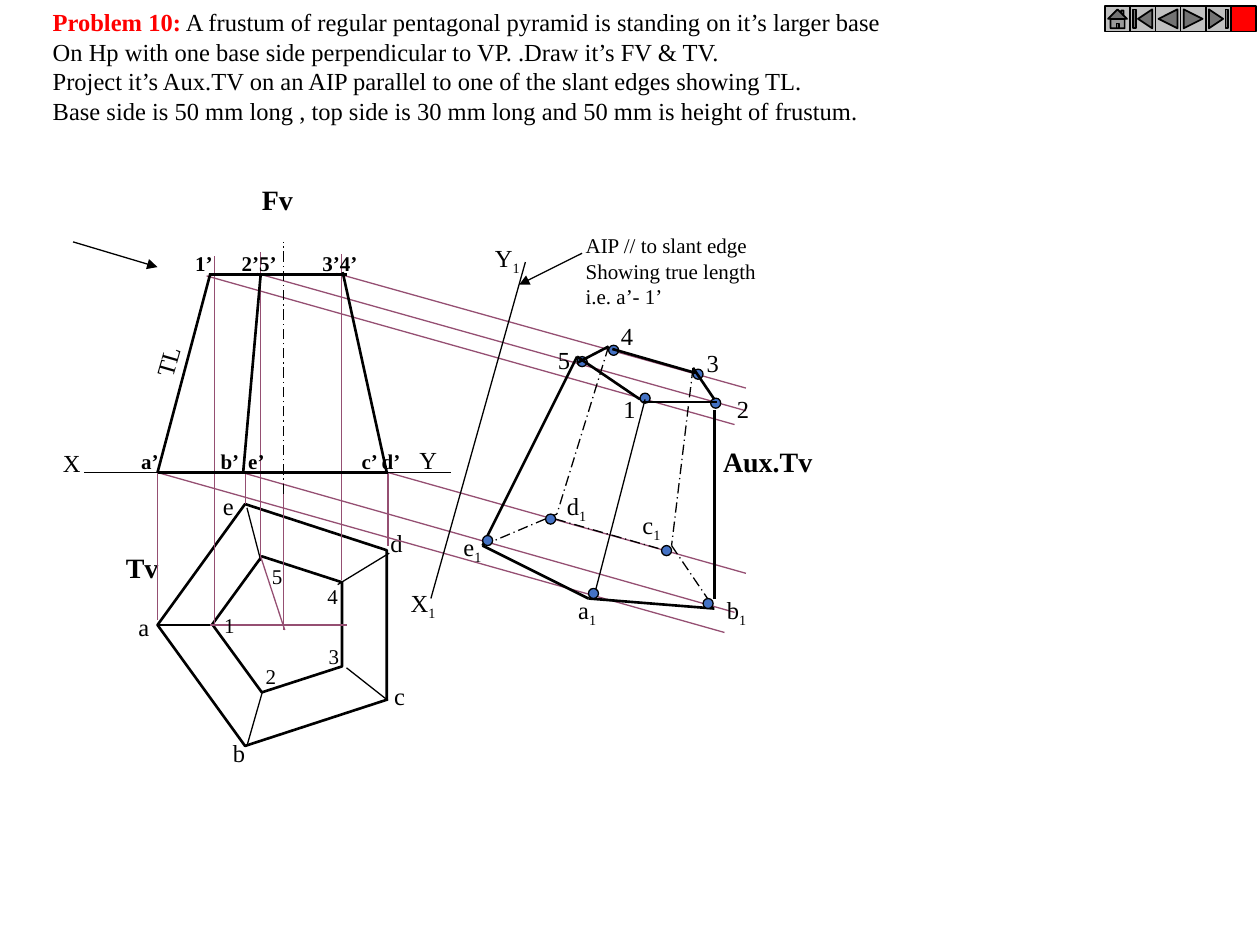
from lxml import etree
from pptx import Presentation
from pptx import util as u
from pptx.dml import color as dc
from pptx.enum import dml, shapes, text
from pptx.oxml import ns

BLACK, PLUM, WHITE, RED = "000000", "954F72", "FFFFFF", "FF0000"
THIN, THICK = 0.75, 1.5
SHAPE = shapes.MSO_SHAPE


def rgb(value):
    return dc.RGBColor.from_string(value)


def place(box, x, y):
    return u.Inches(box[0] + x), u.Inches(box[1] + y)


def add_line(s, box, ends, color=BLACK, width=THIN, dash=False, arrow=False):
    x1, y1, x2, y2 = ends
    cn = s.shapes.add_connector(shapes.MSO_CONNECTOR.STRAIGHT,
                                *place(box, x1, y1), *place(box, x2, y2))
    cn.line.color.rgb = rgb(color)
    cn.line.width = u.Pt(width)
    if dash:
        cn.line.dash_style = dml.MSO_LINE.LONG_DASH_DOT
    if arrow:
        etree.SubElement(cn.line._get_or_add_ln(), ns.qn("a:tailEnd"), type="triangle")
    etree.SubElement(cn._element.spPr, ns.qn("a:effectLst"))


def add_lines(s, box, lines, **style):
    for ends in lines:
        add_line(s, box, ends, **style)


def add_shape(s, box, kind, at, fill, width, rotation=0):
    x, y, w, h = at
    sp = s.shapes.add_shape(kind, *place(box, x, y), u.Inches(w), u.Inches(h))
    sp.rotation = rotation
    sp.shadow.inherit = False
    sp.fill.solid()
    sp.fill.fore_color.rgb = rgb(fill)
    sp.line.color.rgb = rgb(BLACK)
    sp.line.width = u.Pt(width)


def add_dots(s, box, points):
    for x, y in points:
        add_shape(s, box, SHAPE.OVAL, (x, y, 0.08, 0.08), "4472C4", THIN)


def add_run(p, content, size, color=BLACK, bold=False, sub=False):
    r = p.add_run()
    r.text = content
    fmt = {"name": "Times New Roman", "size": u.Pt(size), "bold": bold}
    for key, value in fmt.items():
        setattr(r.font, key, value)
    r.font.color.rgb = rgb(color)
    if sub:
        r._r.get_or_add_rPr().set("baseline", "-25000")


def add_text(s, box, at, lines, size=14, bold=False, wrap=False):
    x, y, w, h = at
    sp = s.shapes.add_textbox(*place(box, x, y), u.Inches(w), u.Inches(h))
    tf = sp.text_frame
    fmt = {"word_wrap": wrap, "auto_size": text.MSO_AUTO_SIZE.SHAPE_TO_FIT_TEXT}
    for key, value in fmt.items():
        setattr(tf, key, value)
    for i, content in enumerate(lines):
        p = tf.add_paragraph() if i else tf.paragraphs[0]
        if content:
            add_run(p, content, size, bold=bold)
    return sp


def add_tabbed(s, box, at, labels, stops):
    sp = add_text(s, box, at, ["\t".join(labels)], 12, True, wrap=True)
    pPr = sp.text_frame.paragraphs[0]._p.get_or_add_pPr()
    tabs = etree.SubElement(pPr, ns.qn("a:tabLst"))
    for stop in stops:
        etree.SubElement(tabs, ns.qn("a:tab"), pos=str(u.Inches(stop)), algn="l")
    return sp


def add_labels(s, box, labels, size=14, w=0.3):
    for content, x, y in labels:
        add_text(s, box, (x, y, w, 0.33 if size == 14 else 0.3), [content], size)


def add_sub_labels(s, box, labels, w=0.36):
    for content, x, y in labels:
        sp = add_text(s, box, (x, y, w, 0.33), [content])
        add_run(sp.text_frame.paragraphs[0], "1", 14, sub=True)


def top_view(s, box):
    for at in [(1.2, 1.05, 1.92, 1.82), (1.66, 1.44, 1.08, 1.03)]:
        add_shape(s, box, SHAPE.REGULAR_PENTAGON, at, WHITE, THICK, 270)
    add_lines(s, box, [(1.26, 1.96, 1.67, 1.96), (2.75, 2.3, 3.08, 2.56),
                       (2.68, 1.64, 3.09, 1.39), (2.08, 2.5, 1.96, 2.92),
                       (1.96, 1.03, 2.07, 1.45)])
    add_lines(s, box, [(1.67, 1.96, 2.75, 1.96), (2.07, 1.42, 2.26, 2),
                       (2.25, 0.83, 2.25, 2)], color=PLUM)
    add_labels(s, box, [("1", 1.68, 1.81), ("2", 2.01, 2.22), ("3", 2.51, 2.06),
                        ("4", 2.5, 1.58), ("5", 2.06, 1.42)], 12, 0.28)
    add_labels(s, box, [("a", 1, 1.81), ("b", 1.75, 2.81), ("c", 3.03, 2.36),
                        ("d", 3, 1.14), ("e", 1.67, 0.85)])
    add_text(s, box, (0.9, 1.32, 0.46, 0.37), ["Tv"], 16, True)


def projectors(s, box):
    base = 1.75
    for x, start, end in [(0.25, 2.92, base), (0.95, 2, base), (2.08, 2.33, base),
                          (0.7, 2.95, 0.03), (1.07, 2.42, 0), (1.71, 2.6, 0.02)]:
        add_line(s, box, (x, start, x, end), PLUM)
    add_lines(s, box, [(1.67, 0.17, 4.92, 1.08), (1.04, 0.17, 4.92, 1.26),
                       (0.64, 0.19, 4.83, 1.37), (2.08, base, 4.92, 2.55),
                       (0.92, base, 4.83, 2.86), (0.25, base, 4.75, 3.02)], color=PLUM)


def front_view(s, box):
    base = 2.75
    add_lines(s, box, [(1.67, 1.18, 2.75, 1.18), (1.67, 1.17, 1.25, base),
                       (2.07, 1.17, 1.93, base), (2.72, 1.16, 3.07, base),
                       (1.25, base, 3.08, base)], width=THICK)
    add_line(s, box, (0.67, base, 3.58, base))
    add_line(s, box, (0.58, 0.92, 1.25, 1.12), arrow=True)
    add_line(s, box, (2.25, 2.92, 2.25, 0.92), dash=True)
    add_labels(s, box, [("X", 0.4, 2.51), ("Y", 3.23, 2.48)], w=0.34)
    add_text(s, box, (1.11, 1.7, 0.44, 0.33), ["TL"]).rotation = 286.1
    sp = add_tabbed(s, box, (0.98, 2.51, 2.35, 0.3),
                    ["a’", "b’", "e’", "c’ d’"], [0.63, 0.85, 1.75])
    sp.text_frame.margin_left = u.Inches(0.14)
    add_tabbed(s, box, (1.45, 0.94, 1.52, 0.3), ["1’", "2’5’", "3’4’"], [0.37, 1.01])
    add_text(s, box, (1.98, 0.4, 0.45, 0.37), ["Fv"], 16, True)


def auxiliary_view(s, box):
    add_dots(s, box, [(2.08, 2.12), (1.58, 1.83), (2.64, 2.16), (1.83, 1.74), (2.5, 1.93)])
    add_lines(s, box, [(1.58, 1.83, 0.83, 3.33), (0.83, 3.33, 1.67, 3.75),
                       (1.67, 3.75, 2.67, 3.83), (2.67, 3.75, 2.67, 2.25),
                       (1.58, 1.83, 2.08, 2.17), (2.1, 2.19, 2.69, 2.19),
                       (2.67, 2.17, 2.5, 1.92), (2.52, 1.96, 1.86, 1.77),
                       (1.83, 1.75, 1.58, 1.88)], width=THICK)
    add_lines(s, box, [(2.12, 2.17, 1.71, 3.75), (1.17, 1.08, 0.42, 3.75)])
    add_lines(s, box, [(0.83, 3.33, 1.42, 3.08), (1.41, 3.12, 2.32, 3.38),
                       (2.33, 3.33, 2.67, 3.83), (1.83, 1.75, 1.42, 3.08),
                       (2.5, 1.92, 2.33, 3.33)], dash=True)
    add_dots(s, box, [(0.83, 3.25), (1.67, 3.67), (2.58, 3.75), (1.33, 3.08), (2.25, 3.33)])
    add_labels(s, box, [("1", 1.85, 2.08), ("2", 2.75, 2.08), ("3", 2.51, 1.71),
                        ("4", 1.83, 1.5), ("5", 1.33, 1.69)])
    add_sub_labels(s, box, [("a", 1.49, 3.67), ("b", 2.67, 3.67), ("c", 2, 3),
                            ("d", 1.4, 2.85), ("e", 0.58, 3.17)])
    add_sub_labels(s, box, [("X", 0.16, 3.62), ("Y", 0.83, 0.88)], w=0.41)
    add_text(s, box, (1.55, 0.8, 1.56, 0.7),
             ["AIP // to slant edge", "Showing true length", "i.e. a’- 1’"], 12)
    add_line(s, box, (1.62, 1.01, 1.12, 1.26), arrow=True)
    add_text(s, box, (2.64, 2.48, 0.91, 0.37), ["Aux.Tv"], 16, True)


def problem_statement(s, box):
    sp = add_text(s, box, (0, 0, *box[2:]), [
        "", "On Hp with one base side perpendicular to VP. .Draw it’s FV & TV.",
        "Project it’s Aux.TV on an AIP parallel to one of the slant edges showing TL.",
        "Base side is 50 mm long , top side is 30 mm long and 50 mm is height of frustum."])
    p = sp.text_frame.paragraphs[0]
    add_run(p, "Problem 10:", 14, RED, True)
    add_run(p, " A frustum of regular pentagonal pyramid is standing on it’s larger base", 14)


def navigation(s, box):
    names = ["HOME", "BEGINNING", "BACK_OR_PREVIOUS", "FORWARD_OR_NEXT", "END", "CUSTOM"]
    step = box[2] / len(names)
    for i, name in enumerate(names):
        fill = RED if name == "CUSTOM" else "C0C0C0"
        add_shape(s, box, SHAPE["ACTION_BUTTON_" + name], (i * step, 0, step, box[3]), fill, 1)


def main():
    prs = Presentation()
    prs.slide_width, prs.slide_height = u.Inches(10), u.Inches(7.5)
    s = prs.slides.add_slide(prs.slide_layouts[6])
    top_view(s, (0, 3))
    projectors(s, (1, 2))
    front_view(s, (0, 1))
    auxiliary_view(s, (3, 1))
    problem_statement(s, (0.32, 0.01, 6.8, 1.03))
    navigation(s, (8.77, 0.05, 1.2, 0.2))
    prs.save("out.pptx")


if __name__ == "__main__":
    main()
